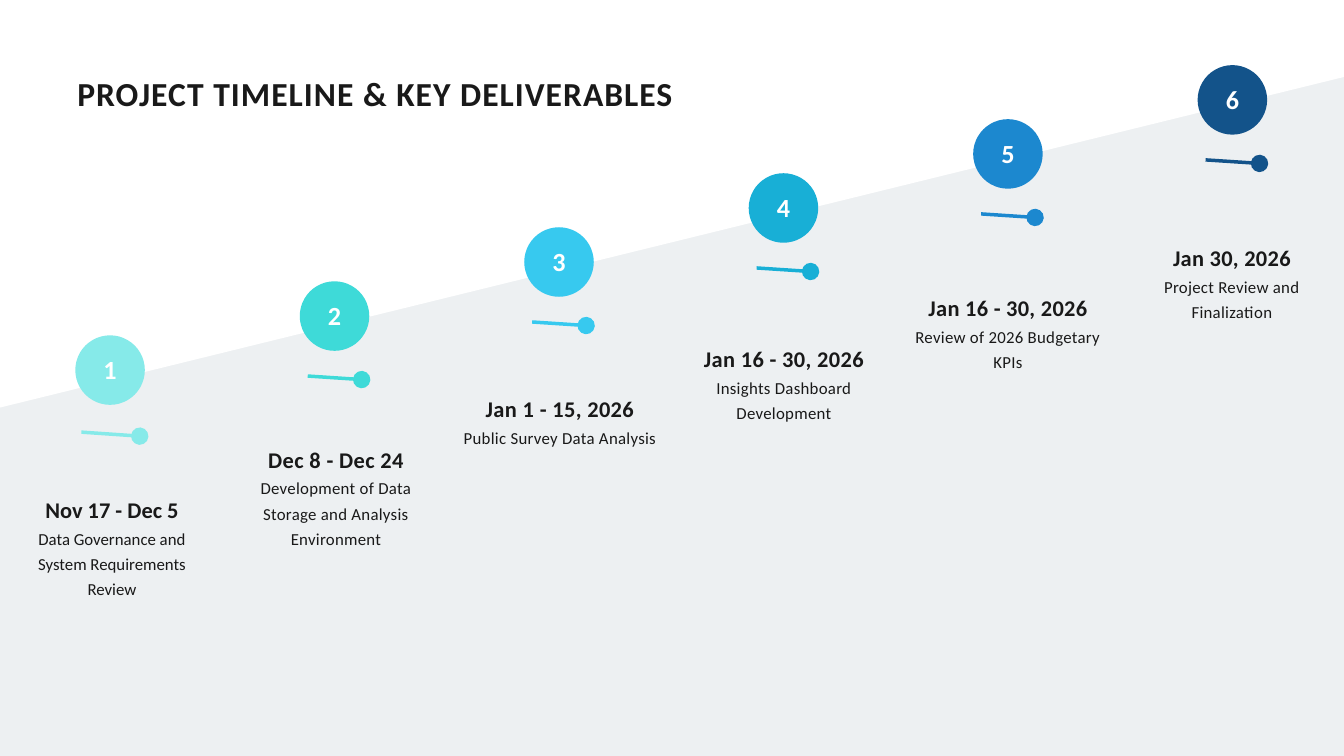
from lxml.etree import SubElement
from pptx import Presentation
from pptx.dml.color import RGBColor
from pptx.enum.shapes import MSO_CONNECTOR as CONNECTOR, MSO_SHAPE as SHAPE
from pptx.enum.text import MSO_ANCHOR as ANCHOR, MSO_AUTO_SIZE as AUTO_SIZE, PP_ALIGN as ALIGN
from pptx.oxml.ns import qn
from pptx.util import Pt

FONT = "Calibri"
COLORS = {
    "white": "FFFFFF",
    "panel": "EDF0F2",
    "ink": "191919",
    "step 1": "86EAE9",
    "step 2": "3EDAD8",
    "step 3": "37C9EF",
    "step 4": "18AFD6",
    "step 5": "1C88CF",
    "step 6": "13538A",
}
MILESTONES = [
    ("Nov 17 - Dec 5", "Data Governance and System Requirements Review", 0, 0),
    ("Dec 8 - Dec 24", "Development of Data Storage and Analysis Environment", 0.4, 0.3),
    ("Jan 1 - 15, 2026", "Public Survey Data Analysis", 0.4, 0.3),
    ("Jan 16 - 30, 2026", "Insights Dashboard Development", 0.4, 0.3),
    ("Jan 16 - 30, 2026", "Review of 2026 Budgetary KPIs", 0.3, 0.3),
    ("Jan 30, 2026", "Project Review and Finalization", 0.3, 0.3),
]
WIDTH, HEIGHT = 1440, 810
LINE_HEIGHT = 27
CELL_MARGIN = 15
CIRCLE = 74.5
STEP_X, STEP_Y = 240.5, -57.9


def color(name):
    return RGBColor.from_string(COLORS[name])


def write(paragraph, text, size, ink, line_spacing, align, bold=True, tracking=0):
    paragraph.text = text
    paragraph.alignment = align
    paragraph.line_spacing = Pt(line_spacing)
    run = paragraph.runs[0]
    run.font.name = FONT
    run.font.size = Pt(size)
    run.font.bold = bold
    run.font.color.rgb = color(ink)
    if tracking:
        run._r.get_or_add_rPr().set("spc", str(round(tracking * 100)))


def set_margins(text_frame, bottom=0):
    text_frame.margin_left = text_frame.margin_right = text_frame.margin_top = 0
    text_frame.margin_bottom = Pt(bottom)


def hide_borders(cell):
    properties = cell._tc.get_or_add_tcPr()
    for index, side in enumerate(("lnL", "lnR", "lnT", "lnB")):
        border = SubElement(properties, qn(f"a:{side}"), w="0")
        SubElement(border, qn("a:noFill"))
        properties.insert(index, border)


def add_schedule(slide, left, top, width, height):
    frame = slide.shapes.add_table(1, len(MILESTONES), Pt(left), Pt(top), Pt(width), Pt(height))
    table = frame.table
    table.first_row = table.horz_banding = False
    for index, (date, deliverable, date_tracking, text_tracking) in enumerate(MILESTONES):
        cell = table.cell(0, index)
        cell.fill.solid()
        cell.fill.fore_color.rgb = color("panel")
        hide_borders(cell)
        cell.margin_left = cell.margin_right = cell.margin_bottom = Pt(CELL_MARGIN)
        cell.margin_top = Pt(CELL_MARGIN + LINE_HEIGHT * (19 - 2 * index))
        text_frame = cell.text_frame
        write(text_frame.paragraphs[0], date, 24, "ink", 36, ALIGN.CENTER, True, date_tracking)
        write(text_frame.add_paragraph(), deliverable, 18, "ink", LINE_HEIGHT,
              ALIGN.CENTER, False, text_tracking)


def add_slope(slide, left, top, width, left_height, right_height):
    builder = slide.shapes.build_freeform(Pt(left), Pt(top))
    builder.add_line_segments([
        (Pt(left + width), Pt(top)),
        (Pt(left + width), Pt(top + right_height)),
        (Pt(left), Pt(top + left_height)),
    ])
    slope = builder.convert_to_shape()
    slope.shadow.inherit = False
    slope.fill.solid()
    slope.fill.fore_color.rgb = color("white")
    slope.line.fill.background()


def add_marker(slide, left, top, number):
    name = f"step {number}"
    circle = slide.shapes.add_shape(SHAPE.OVAL, Pt(left), Pt(top), Pt(CIRCLE), Pt(CIRCLE))
    circle.shadow.inherit = False
    circle.fill.solid()
    circle.fill.fore_color.rgb = color(name)
    circle.line.fill.background()
    set_margins(circle.text_frame, bottom=8)
    circle.text_frame.vertical_anchor = ANCHOR.MIDDLE
    write(circle.text_frame.paragraphs[0], str(number), 28, "white", 39.2, ALIGN.CENTER)

    start_x, start_y, end_x, end_y = (6.5, 103.7, 69, 108) if number == 1 else (8.5, 101.5, 66.3, 105.3)
    pointer = slide.shapes.add_connector(
        CONNECTOR.STRAIGHT,
        Pt(left + start_x), Pt(top + start_y), Pt(left + end_x), Pt(top + end_y))
    pointer.line.color.rgb = color(name)
    pointer.line.width = Pt(3.75)
    SubElement(pointer.line._get_or_add_ln(), qn("a:tailEnd"), type="oval", w="lg", len="lg")
    SubElement(pointer._element.spPr, qn("a:effectLst"))


def add_title(slide, left, top, width, height):
    title = slide.shapes.title
    title.left, title.top, title.width, title.height = Pt(left), Pt(top), Pt(width), Pt(height)
    text_frame = title.text_frame
    set_margins(text_frame)
    text_frame.word_wrap = True
    text_frame.auto_size = AUTO_SIZE.NONE
    text_frame.vertical_anchor = ANCHOR.TOP
    write(text_frame.paragraphs[0], "PROJECT TIMELINE & KEY DELIVERABLES", 36, "ink", 43.2,
          ALIGN.LEFT, True, 1.1)
    slide.shapes._spTree.append(title._element)


def main():
    presentation = Presentation()
    presentation.slide_width, presentation.slide_height = Pt(WIDTH), Pt(HEIGHT)
    slide = presentation.slides.add_slide(presentation.slide_layouts[5])
    add_schedule(slide, 0, -2, WIDTH, HEIGHT + 2)
    add_slope(slide, 0, 0, WIDTH, 436.7, 82.5)
    for index in range(len(MILESTONES)):
        add_marker(slide, 80.7 + index * STEP_X, 359.3 + index * STEP_Y, index + 1)
    add_title(slide, 82.8, 78.5, 997, 43.2)
    presentation.save("out.pptx")


if __name__ == "__main__":
    main()
